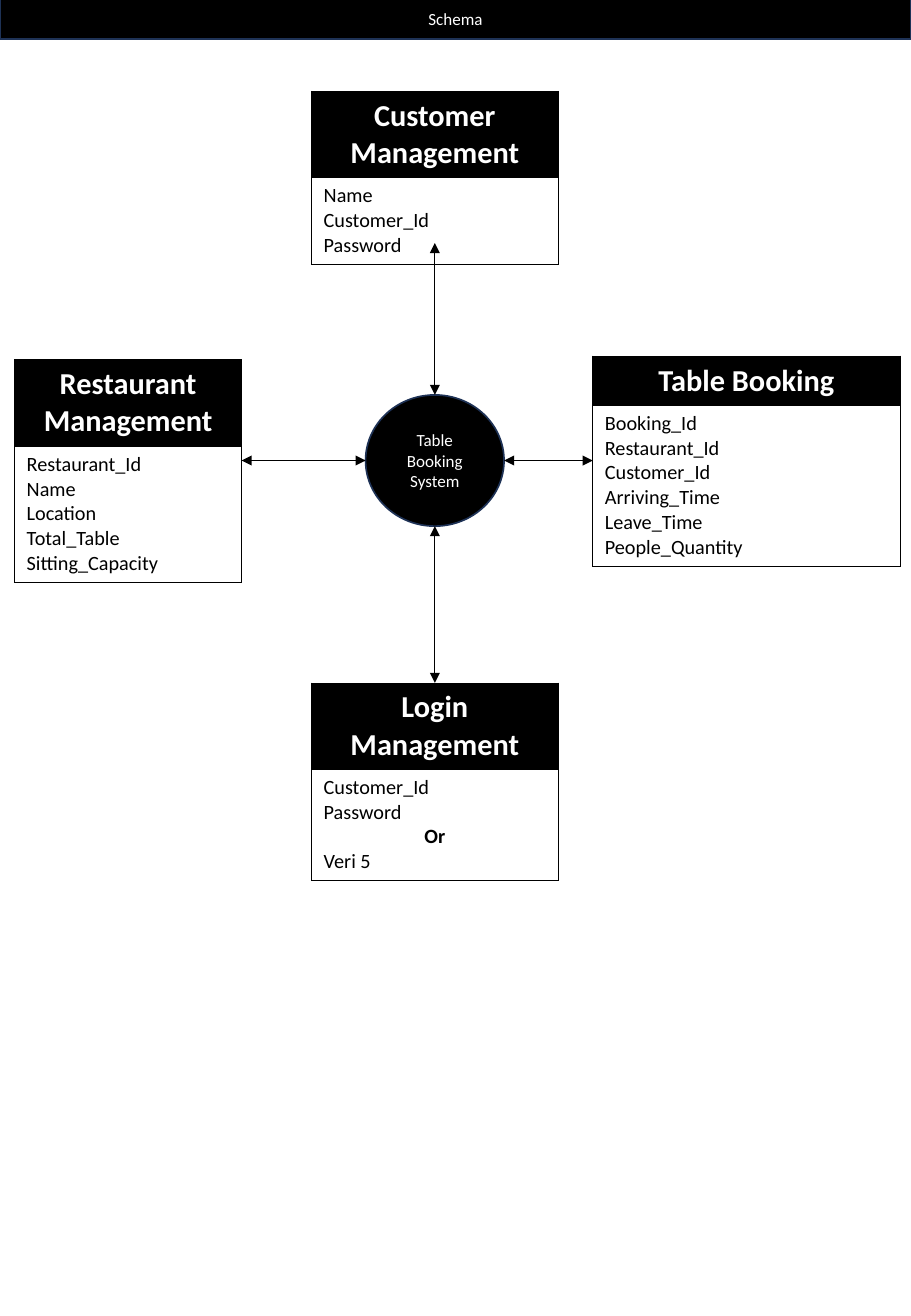
import pptx
import pptx.util
import pptx.dml.color
import pptx.enum.shapes
import pptx.enum.text
import pptx.oxml
import pptx.oxml.ns

CELL = pptx.util.Inches(0.1)
COLUMNS, ROWS = 75, 108.3
BLACK, WHITE, NAVY = "000000", "FFFFFF", "1E3256"
CENTER = pptx.enum.text.PP_ALIGN.CENTER
LEFT = pptx.enum.text.PP_ALIGN.LEFT
HEADING_LINE, FIELD_LINE, ROW_PADDING = 3.05, 2.04, 1


def grid(*cells):
    """Convert grid cells to slide lengths."""
    return [round(count * CELL) for count in cells]


def color(hex_value):
    """Return the colour of a hex string."""
    return pptx.dml.color.RGBColor.from_string(hex_value)


def write(paragraph, text, size, hex_value, align=CENTER, bold=False):
    """Add one formatted run to a paragraph."""
    paragraph.alignment = align
    run = paragraph.add_run()
    run.text = text
    run.font.name = "Calibri"
    run.font.size = pptx.util.Pt(size)
    run.font.bold = bold
    run.font.color.rgb = color(hex_value)


def paint_label(shape, text):
    """Give a shape its black fill, navy edge and centred white label."""
    shape.fill.solid()
    shape.fill.fore_color.rgb = color(BLACK)
    shape.line.color.rgb = color(NAVY)
    shape.line.width = pptx.util.Pt(1)
    frame = shape.text_frame
    frame.word_wrap = True
    frame.auto_size = pptx.enum.text.MSO_AUTO_SIZE.NONE
    frame.vertical_anchor = pptx.enum.text.MSO_ANCHOR.MIDDLE
    write(frame.paragraphs[0], text, 10.1, WHITE)


def add_banner(slide, box, text):
    """Turn the title placeholder into the banner."""
    banner = slide.shapes.title
    banner.left, banner.top, banner.width, banner.height = grid(*box)
    paint_label(banner, text)


def add_hub(slide, box, text):
    """Draw the central system circle."""
    hub = slide.shapes.add_shape(pptx.enum.shapes.MSO_SHAPE.OVAL, *grid(*box))
    hub.shadow.inherit = False
    paint_label(hub, text)


def border(cell):
    """Draw thin black borders on all sides of a table cell."""
    properties = cell._tc.get_or_add_tcPr()
    for position, side in enumerate(("lnL", "lnR", "lnT", "lnB")):
        properties.insert(position, pptx.oxml.parse_xml(
            f'<a:{side} {pptx.oxml.ns.nsdecls("a")} w="6350"><a:solidFill>'
            f'<a:srgbClr val="{BLACK}"/></a:solidFill></a:{side}>'))


def add_entity(slide, box, heading, heading_lines, fields):
    """Draw an entity table with a heading row and its list of fields."""
    left, top, width = box
    heights = (heading_lines * HEADING_LINE + ROW_PADDING,
               len(fields) * FIELD_LINE + ROW_PADDING)
    entity = slide.shapes.add_table(
        2, 1, *grid(left, top, width, sum(heights))).table
    for row, height in zip(entity.rows, grid(*heights)):
        row.height = height
    heading_cell, fields_cell = entity.cell(0, 0), entity.cell(1, 0)
    heading_cell.fill.solid()
    heading_cell.fill.fore_color.rgb = color(BLACK)
    fields_cell.fill.background()
    border(heading_cell)
    border(fields_cell)
    write(heading_cell.text_frame.paragraphs[0], heading, 18, WHITE, bold=True)
    frame = fields_cell.text_frame
    for index, field in enumerate(fields):
        paragraph = frame.add_paragraph() if index else frame.paragraphs[0]
        separator = field == "Or"
        write(paragraph, field, 12, BLACK, CENTER if separator else LEFT, separator)


def add_link(slide, start, end):
    """Draw a double-headed arrow between two grid points."""
    link = slide.shapes.add_connector(
        pptx.enum.shapes.MSO_CONNECTOR.STRAIGHT, *grid(*start, *end))
    link.line.color.rgb = color(BLACK)
    link.line.width = pptx.util.Pt(0.5)
    line = link.line._get_or_add_ln()
    for arrowhead in ("headEnd", "tailEnd"):
        line.append(pptx.oxml.parse_xml(
            f'<a:{arrowhead} {pptx.oxml.ns.nsdecls("a")} type="triangle"/>'))
    link._element.spPr.append(pptx.oxml.parse_xml(
        f'<a:effectLst {pptx.oxml.ns.nsdecls("a")}/>'))


def add_schema(slide, hub_box):
    """Place the hub, the four entities around it and their links."""
    left, top, width, height = hub_box
    right, bottom = left + width, top + height
    middle_x, middle_y = left + width / 2, top + height / 2
    column = 20.3
    column_left = middle_x - column / 2
    login_top, booking_left = 56.2, 48.8
    restaurant_left, restaurant_width = 1.2, 18.7
    add_hub(slide, hub_box, "Table Booking System")
    entities = (
        ((column_left, 7.5, column), "Customer Management", 2,
         ("Name", "Customer_Id", "Password")),
        ((restaurant_left, 29.6, restaurant_width), "Restaurant Management", 2,
         ("Restaurant_Id", "Name", "Location", "Total_Table", "Sitting_Capacity")),
        ((booking_left, 29.3, 25.3), "Table Booking", 1,
         ("Booking_Id", "Restaurant_Id", "Customer_Id", "Arriving_Time",
          "Leave_Time", "People_Quantity")),
        ((column_left, login_top, column), "Login Management", 2,
         ("Customer_Id", "Password", "Or", "Veri 5")))
    for entity in entities:
        add_entity(slide, *entity)
    links = (
        ((middle_x, top), (middle_x, 20)),
        ((right, middle_y), (booking_left, middle_y)),
        ((left, middle_y), (restaurant_left + restaurant_width, middle_y)),
        ((middle_x, bottom), (middle_x, login_top)))
    for start, end in links:
        add_link(slide, start, end)


deck = pptx.Presentation()
deck.slide_width, deck.slide_height = grid(COLUMNS, ROWS)
page = deck.slides.add_slide(deck.slide_layouts.get_by_name("Title Only"))
add_banner(page, (0, -0.1, COLUMNS, 3.3), "Schema")
add_schema(page, (30.1, 32.5, 11.4, 10.8))
deck.save("out.pptx")
